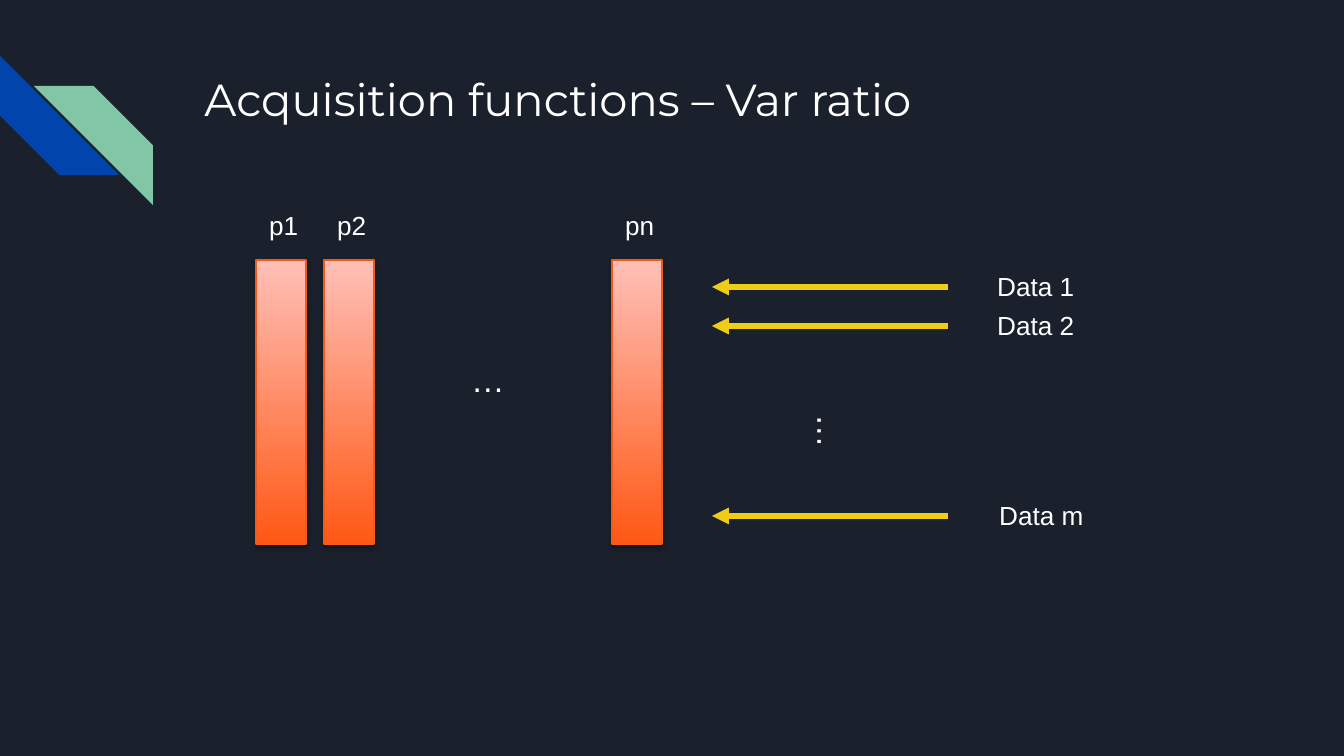
"""Build the slide on acquisition functions with the variation ratio diagram."""
from lxml.etree import SubElement
from pptx import Presentation
from pptx.dml.color import RGBColor as RGB
from pptx.enum.shapes import MSO_CONNECTOR as LINK, MSO_SHAPE as SHAPE
from pptx.enum.text import MSO_ANCHOR as ANCHOR, MSO_AUTO_SIZE as FIT, PP_ALIGN as ALIGN
from pptx.oxml.ns import qn
from pptx.util import Inches, Pt

PX = Inches(10) / 1344
COLORS = {
    "background": "1B212C", "blue": "0145AC", "green": "82C7A5",
    "bar_bottom": "FF5814", "bar_top": "FFC0B7", "bar_edge": "F15A1C",
    "arrow": "EECD14", "text": "FFFFFF", "shadow": "000000",
}


def px(*lengths):
    return [round(length * PX) for length in lengths]


def write(frame, words, size, font="Arial"):
    paragraph = frame.paragraphs[0]
    paragraph.alignment = ALIGN.LEFT
    run = paragraph.add_run()
    run.text = words
    run.font.size = Pt(size)
    run.font.name = font
    run.font.color.rgb = RGB.from_string(COLORS["text"])


deck = Presentation()
deck.slide_width, deck.slide_height = px(1344, 756)
slide = deck.slides.add_slide(deck.slide_layouts[5])
slide.background.fill.solid()
slide.background.fill.fore_color.rgb = RGB.from_string(COLORS["background"])
shapes = slide.shapes

for color, left, top, turn, flip in [("blue", 0, 56, 270, "0"), ("green", 34, 86, 0, "1")]:
    stripe = shapes.add_shape(SHAPE.DIAGONAL_STRIPE, *px(left, top, 119, 119))
    stripe.rotation = turn
    stripe.element.spPr.xfrm.set("flipH", flip)
    stripe.shadow.inherit = False
    stripe.fill.solid()
    stripe.fill.fore_color.rgb = RGB.from_string(COLORS[color])
    stripe.line.fill.background()

title = shapes.title
title.left, title.top, title.width, title.height = px(191, 58, 1035, 134)
heading = title.text_frame
heading.auto_size = FIT.NONE
heading.word_wrap = True
heading.vertical_anchor = ANCHOR.TOP
heading.margin_left = heading.margin_right = Inches(0.1)
heading.margin_top = heading.margin_bottom = Inches(0.1)
write(heading, "Acquisition functions – Var ratio", 24, "Montserrat")

labels = []
for name, left in [("p1", 256), ("p2", 324), ("pn", 612)]:
    bar = shapes.add_shape(SHAPE.RECTANGLE, *px(left, 260, 50, 284))
    bar.fill.gradient()
    bar.fill.gradient_angle = 90
    for stop, color in zip(bar.fill.gradient_stops, ("bar_bottom", "bar_top")):
        stop.color.rgb = RGB.from_string(COLORS[color])
    bar.line.color.rgb = RGB.from_string(COLORS["bar_edge"])
    bar.line.width = Pt(0.75)
    bar.shadow.inherit = False
    effects = bar.element.spPr.find(qn("a:effectLst"))
    shadow = SubElement(effects, qn("a:outerShdw"), blurRad=str(Pt(3.1)),
                        dist=str(Pt(1.8)), dir="5400000", rotWithShape="0")
    shade = SubElement(shadow, qn("a:srgbClr"), val=COLORS["shadow"])
    SubElement(shade, qn("a:alpha"), val="35000")
    labels.append((name, left, 203, 64, 46, 14, 0, True))

for name, y, left, width in [("Data 1", 287, 984, 105), ("Data 2", 326, 984, 105),
                             ("Data m", 516, 986, 111)]:
    arrow = shapes.add_connector(LINK.STRAIGHT, *px(948, y, 712, y))
    arrow.line.color.rgb = RGB.from_string(COLORS["arrow"])
    arrow.line.width = Pt(3)
    SubElement(arrow.line._get_or_add_ln(), qn("a:tailEnd"), type="triangle")
    SubElement(arrow.element.spPr, qn("a:effectLst"))
    labels.append((name, left, y - 23, width, 46, 14, 0, False))

labels += [("…", 458, 352, 101, 54, 18, 0, True), ("…", 780, 425, 101, 54, 18, 90, True)]
for words, left, top, width, height, size, turn, wrap in labels:
    label = shapes.add_textbox(*px(left, top, width, height))
    label.rotation = turn
    label.text_frame.word_wrap = wrap
    label.text_frame.auto_size = FIT.SHAPE_TO_FIT_TEXT
    write(label.text_frame, words, size)

deck.save("out.pptx")
